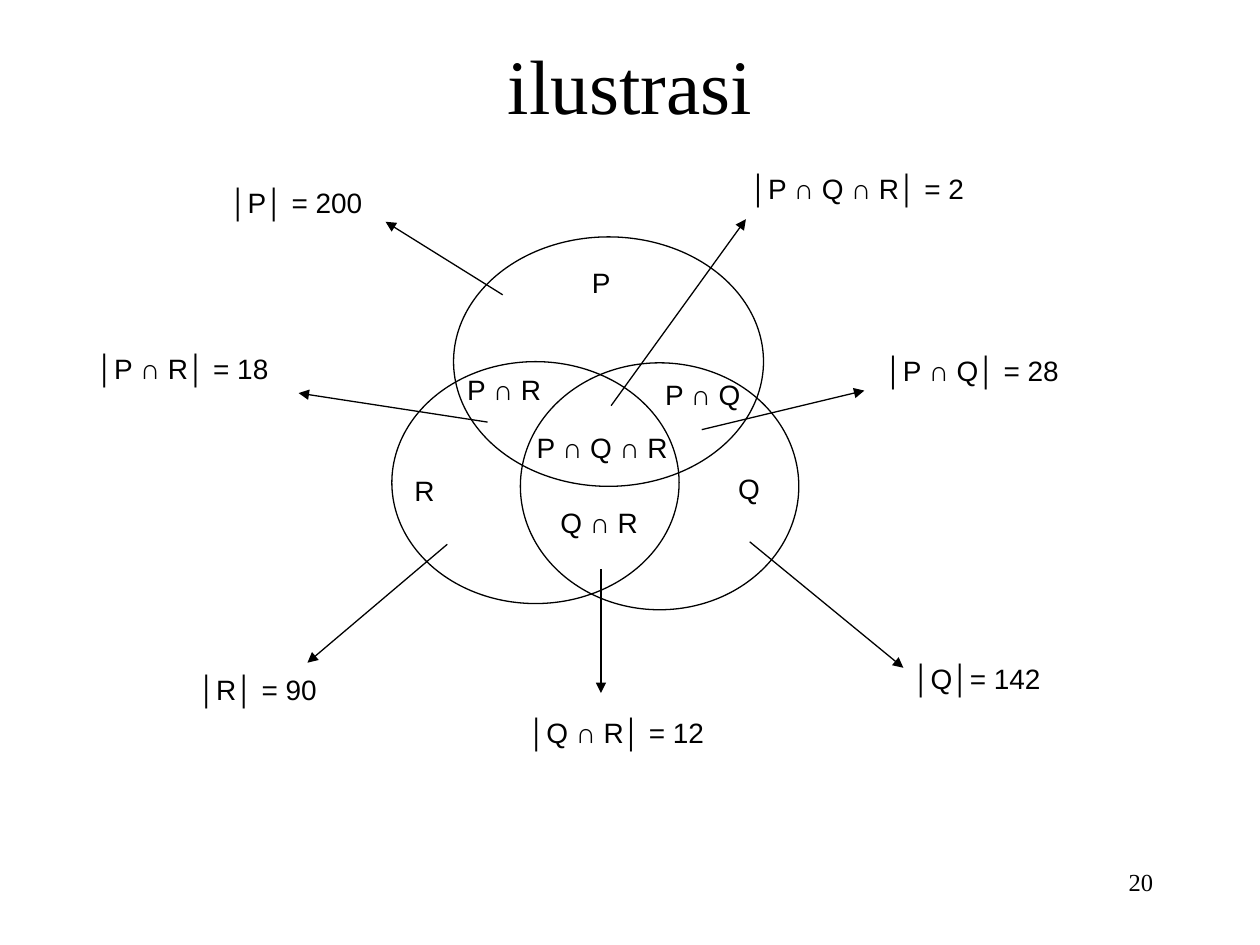
from dataclasses import dataclass

from lxml import etree
from pptx import Presentation
from pptx import util as u
from pptx.dml.color import RGBColor
from pptx.enum import shapes, text
from pptx.oxml.ns import qn

PX = 9144  # EMU per px, 100 px to the inch


@dataclass(frozen=True)
class Theme:
    ink: RGBColor = RGBColor(0, 0, 0)
    paper: RGBColor = RGBColor(255, 255, 255)
    serif: str = "Times New Roman"
    sans: str = "Arial"
    title_size: int = 44
    label_size: int = 16
    number_size: int = 14
    line_width: float = 0.75


THEME = Theme()

# Boxes and points are relative to the diagram: left, top, width, height
CIRCLES = {
    "R": (244, 156, 228, 192),
    "Q": (346, 157, 221, 196),
    "P": (293, 57, 246, 198),
}

# Region name, its box, count, the count's box, arrow start, arrow end
REGIONS = [
    ("P", (393, 75, 74, 48), "│P│ = 200", (106, 11, 167, 48), (332, 103), (239, 45)),
    ("Q", (509, 238, 74, 48), "│Q│= 142", (648, 389, 142, 46), (528, 299), (650, 399)),
    ("R", (252, 240, 74, 48), "│R│ = 90", (81, 398, 167, 48), (288, 301), (177, 395)),
    ("P ∩ R", (294, 160, 97, 54), "│P ∩ R│ = 18", (0, 143, 190, 54), (320, 204), (170, 181)),
    ("P ∩ Q", (451, 164, 97, 54), "│P ∩ Q│ = 28", (626, 145, 190, 54), (490, 210), (619, 179)),
    ("Q ∩ R", (368, 265, 97, 54), "│Q ∩ R│ = 12", (343, 432, 190, 54), (410, 321), (410, 419)),
    ("P ∩ Q ∩ R", (349, 206, 132, 54), "│P ∩ Q ∩ R│ = 2", (519, 0, 263, 54), (418, 191), (525, 43)),
]


def emu(*lengths):
    return [length * PX for length in lengths]


def write(frame, words, font, size, align):
    paragraph = frame.paragraphs[0]
    paragraph.alignment = align
    run = paragraph.add_run()
    run.text = words
    run.font.name = font
    run.font.size = u.Pt(size)
    run.font.color.rgb = THEME.ink


def add_label(slide, words, box, font=THEME.sans, size=THEME.label_size,
              align=text.PP_ALIGN.LEFT):
    frame = slide.shapes.add_textbox(*emu(*box)).text_frame
    frame.word_wrap = True
    write(frame, words, font, size, align)


def style_line(line):
    line.color.rgb = THEME.ink
    line.width = u.Pt(THEME.line_width)


def add_circle(slide, box):
    circle = slide.shapes.add_shape(shapes.MSO_SHAPE.OVAL, *emu(*box))
    circle.shadow.inherit = False
    circle.fill.background()
    style_line(circle.line)


def add_arrow(slide, start, end):
    arrow = slide.shapes.add_connector(
        shapes.MSO_CONNECTOR.STRAIGHT, *emu(*start, *end))
    style_line(arrow.line)
    outline = arrow.line._get_or_add_ln()
    etree.SubElement(outline, qn("a:tailEnd"), type="triangle")
    etree.SubElement(arrow._element.spPr, qn("a:effectLst"))


def add_title(slide, words, box):
    title = slide.shapes.title
    title.left, title.top, title.width, title.height = emu(*box)
    frame = title.text_frame
    frame.vertical_anchor = text.MSO_ANCHOR.MIDDLE
    frame.auto_size = text.MSO_AUTO_SIZE.NONE
    write(frame, words, THEME.serif, THEME.title_size, text.PP_ALIGN.CENTER)


def add_venn_diagram(slide, left, top):
    def place(x, y, *size):
        return (left + x, top + y, *size)

    for box in CIRCLES.values():
        add_circle(slide, place(*box))
    for name, name_box, count, count_box, start, end in REGIONS:
        add_label(slide, name, place(*name_box))
        add_arrow(slide, place(*start), place(*end))
        add_label(slide, count, place(*count_box))


def main():
    deck = Presentation()
    deck.slide_width, deck.slide_height = emu(1000, 750)
    slide = deck.slides.add_slide(deck.slide_layouts.get_by_name("Title Only"))
    slide.background.fill.solid()
    slide.background.fill.fore_color.rgb = THEME.paper

    add_title(slide, "ilustrasi", (75, 33, 850, 67))
    add_venn_diagram(slide, 67, 131)
    add_label(slide, "20", (717, 683, 208, 50), THEME.serif,
              THEME.number_size, text.PP_ALIGN.RIGHT)
    deck.save("out.pptx")


if __name__ == "__main__":
    main()
